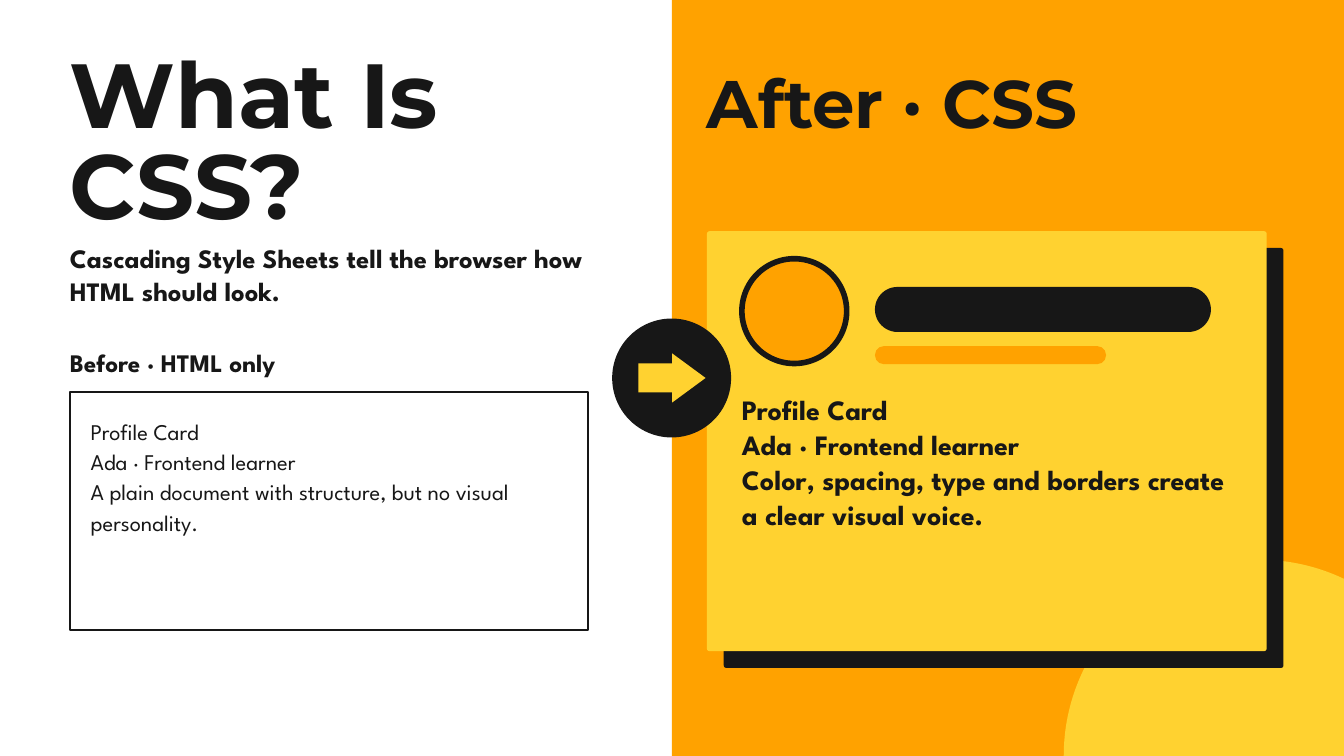
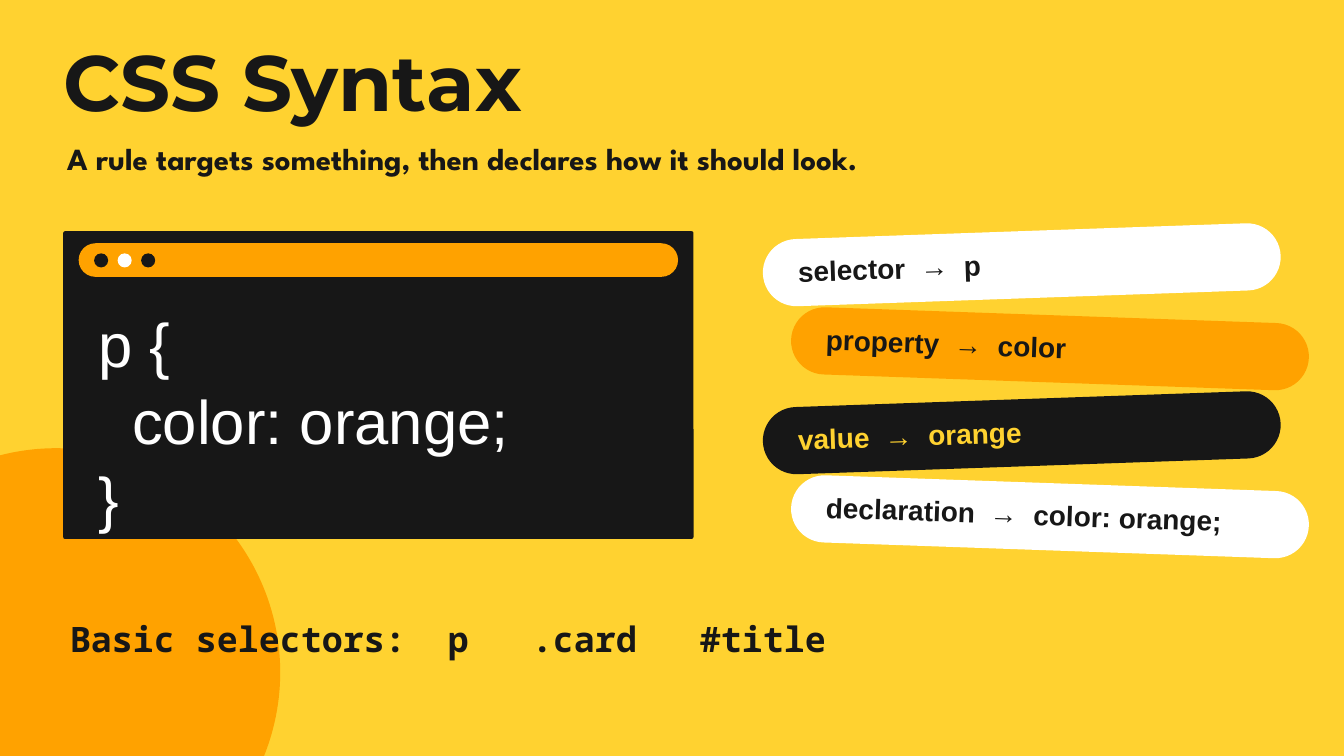
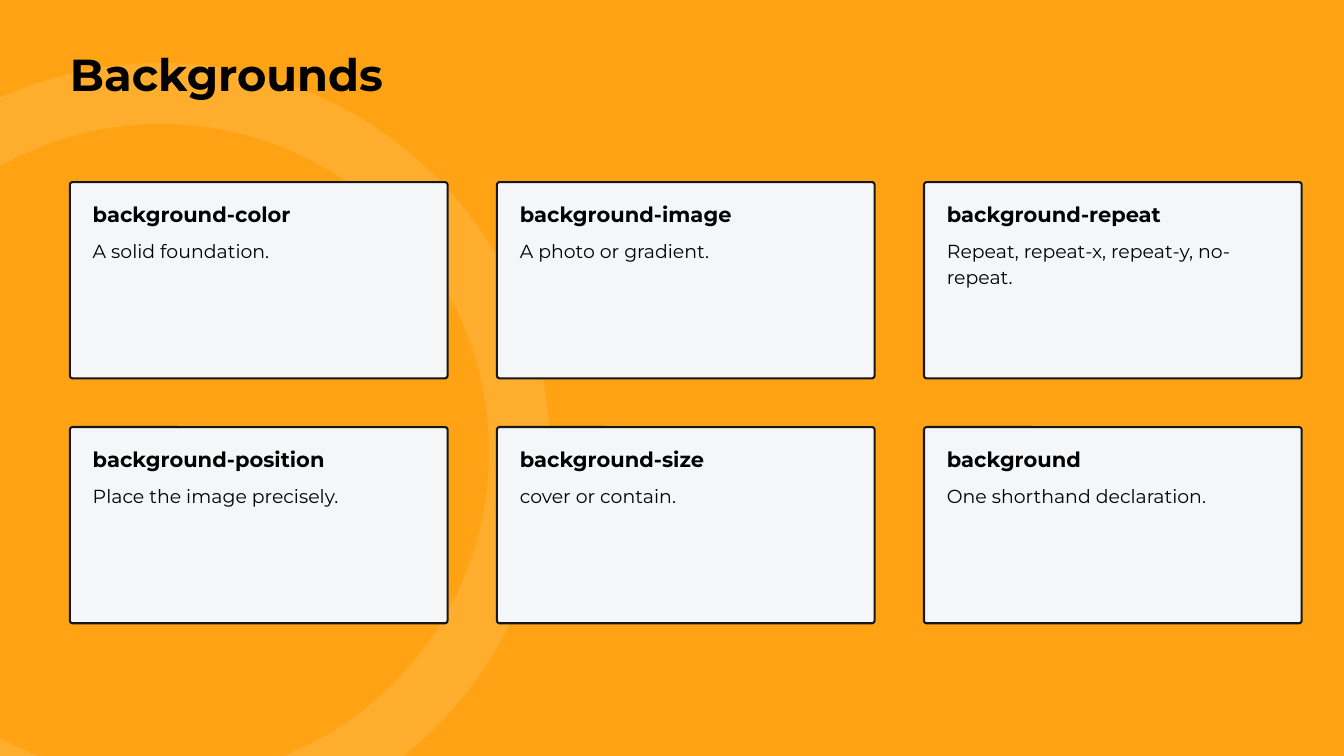
import pptx
import pptx.dml.color
import pptx.enum.shapes
import pptx.enum.text
import pptx.oxml
import pptx.oxml.ns
import pptx.util
from pptx.util import Inches, Pt

INK, WHITE, BLACK = "171717", "FFFFFF", "000000"
ORANGE, YELLOW, AMBER, PALE = "FFA200", "FFD230", "FFA314", "F5F6F7"
HEADING, BODY, SANS, MONO = "Montserrat", "League Spartan", "Arial", "Noto Sans Mono"
SHAPE = pptx.enum.shapes.MSO_SHAPE


def paint(target, color):
    """Give a fill a solid colour."""
    target.solid()
    target.fore_color.rgb = pptx.dml.color.RGBColor.from_string(color)


def add_page(deck, background):
    page = deck.slides.add_slide(deck.slide_layouts[5])
    paint(page.background.fill, background)
    return page


def place(shape, at):
    shape.left, shape.top, shape.width, shape.height = map(Inches, at)


def add_tabs(para, stops):
    properties = para._p.get_or_add_pPr()
    tabs = pptx.oxml.parse_xml(f"<a:tabLst {pptx.oxml.ns.nsdecls('a')}/>")
    for stop in stops:
        tab = tabs.makeelement(pptx.oxml.ns.qn("a:tab"), {"pos": str(Inches(stop)), "algn": "l"})
        tabs.append(tab)
    properties.append(tabs)


def write(frame, text, size, font=BODY, color=INK, bold=True, leading=1.25, tabs=()):
    """Fill a frame, one paragraph per line; leading is a multiple of the size."""
    frame.word_wrap = True
    frame.auto_size = pptx.enum.text.MSO_AUTO_SIZE.NONE
    frame.vertical_anchor = pptx.enum.text.MSO_ANCHOR.TOP
    frame.margin_left = frame.margin_right = frame.margin_top = frame.margin_bottom = 0
    for index, line in enumerate(text.split("\n")):
        para = frame.paragraphs[0] if index == 0 else frame.add_paragraph()
        if tabs:
            add_tabs(para, tabs)
        para.alignment = pptx.enum.text.PP_ALIGN.LEFT
        para.line_spacing = Pt(size * leading)
        span = para.add_run()
        span.text = line
        span.font.name, span.font.size, span.font.bold = font, Pt(size), bold
        paint(span.font.fill, color)


def add_title(page, at, text, size, leading=1.08):
    """Write the title and bring it in front of the decoration."""
    title = page.shapes.title
    place(title, at)
    write(title.text_frame, text, size, font=HEADING,
          color=BLACK if size < 60 else INK, leading=leading)
    title.element.getparent().append(title.element)


def add_text(page, at, text, size, rotation=0, **style):
    box = page.shapes.add_textbox(*map(Inches, at))
    box.rotation = rotation
    write(box.text_frame, text, size, **style)


def add_figure(page, kind, at, fill=None, line=None, width=2.25, radius=None, rotation=0):
    figure = page.shapes.add_shape(kind, *map(Inches, at))
    figure.shadow.inherit = False
    figure.rotation = rotation
    if radius is not None:
        figure.adjustments[0] = radius / min(at[2:])
    if fill:
        paint(figure.fill, fill)
    else:
        figure.fill.background()
    if line:
        paint(figure.line.fill, line)
        figure.line.width = Pt(width)
    else:
        figure.line.fill.background()
    return figure


def add_circle(page, left, top, size, fill=None, **style):
    return add_figure(page, SHAPE.OVAL, (left, top, size, size), fill, **style)


def add_panel(page, at, fill, radius=0.04, **style):
    return add_figure(page, SHAPE.ROUNDED_RECTANGLE, at, fill, radius=radius, **style)


def add_pill(page, at, fill, **style):
    return add_panel(page, at, fill, radius=at[3] / 2, **style)


def fade_line(figure, percent):
    """Make an outline partly transparent."""
    color = figure.line._ln.find(".//" + pptx.oxml.ns.qn("a:srgbClr"))
    alpha = color.makeelement(pptx.oxml.ns.qn("a:alpha"), {"val": str(percent * 1000)})
    color.append(alpha)


def build_what_is_css(deck):
    page = add_page(deck, WHITE)
    add_figure(page, SHAPE.RECTANGLE, (10, 0, 10, 11.25), ORANGE)
    add_circle(page, 15.83, 8.33, 5.83, YELLOW)
    add_title(page, (1.04, 0.83, 8.33, 2.77), "What Is\nCSS?", 97.5, leading=1)
    add_text(page, (1.04, 3.58, 8.02, 0.97),
             "Cascading Style Sheets tell the browser how HTML should look.", 28.5)

    add_text(page, (1.04, 5.15, 7.71, 0.46), "Before · HTML only", 27)
    add_figure(page, SHAPE.RECTANGLE, (1.04, 5.83, 7.71, 3.54), WHITE, line=INK)
    profile = "Profile Card\nAda · Frontend learner\n"
    add_text(page, (1.35, 6.17, 7.08, 1.77),
             profile + "A plain document with structure, but no visual personality.",
             24, bold=False, leading=1.35)

    add_text(page, (10.52, 1.03, 8.85, 1.1), "After · CSS", 72, font=HEADING, leading=1.08)
    for offset, color in ((0.25, INK), (0, YELLOW)):
        add_panel(page, (10.52 + offset, 3.44 + offset, 8.33, 6.25), color)
    add_circle(page, 11.04, 3.85, 1.56, ORANGE, line=INK, width=6)
    add_pill(page, (13.02, 4.27, 5, 0.67), INK)
    add_pill(page, (13.02, 5.15, 3.44, 0.27), ORANGE)
    add_text(page, (11.04, 5.82, 7.29, 2.07),
             profile + "Color, spacing, type and borders create a clear visual voice.", 30)

    add_circle(page, 9.11, 4.74, 1.77, INK)
    arrow = add_figure(page, SHAPE.RIGHT_ARROW, (9.5, 5.26, 1, 0.73), YELLOW)
    arrow.adjustments[0], arrow.adjustments[1] = 0.59, 0.68


def build_syntax(deck):
    page = add_page(deck, YELLOW)
    add_circle(page, -2.5, 6.67, 6.67, ORANGE)
    add_title(page, (0.94, 0.64, 13.54, 1.28), "CSS Syntax", 84)
    add_text(page, (1, 2.06, 15.62, 0.57),
             "A rule targets something, then declares how it should look.", 33)

    add_panel(page, (0.94, 3.44, 9.38, 4.58), INK, radius=0.03)
    add_pill(page, (1.17, 3.62, 8.92, 0.5), ORANGE)
    for index, color in enumerate((INK, WHITE, INK)):
        add_circle(page, 1.4 + 0.35 * index, 3.77, 0.21, color)
    add_text(page, (1.46, 4.51, 8.54, 3.46), "p {\n  color: orange;\n}", 66,
             font=SANS, color=WHITE, bold=False)

    terms = (
        ("selector", "p", WHITE, INK, 1.82),
        ("property", "color", ORANGE, INK, 1.91),
        ("value", "orange", INK, YELLOW, 1.29),
        ("declaration", "color: orange;", WHITE, INK, 2.44),
    )
    for index, (term, example, fill, color, stop) in enumerate(terms):
        left, top = 11.35 + 0.42 * (index % 2), 3.44 + 1.25 * index
        tilt = 2 if index % 2 else -2
        add_pill(page, (left, top, 7.71, 1), fill, rotation=tilt)
        add_text(page, (left + 0.52, top + 0.14, 6.88, 0.58), f"{term}\t→\t{example}", 30,
                 rotation=tilt, font=SANS, color=color, leading=1.4, tabs=(stop, stop + 0.65))

    size = 37.5
    character = size * 0.6 / 72
    add_text(page, (1.04, 9.16, 15.62, 0.63), "Basic selectors:\tp\t.card\t#title", size,
             font=MONO, tabs=[column * character for column in (18, 22, 30)])


def add_card(page, left, top, name, meaning):
    add_panel(page, (left, top, 5.62, 2.92), PALE, line=INK)
    style = {"font": HEADING, "color": BLACK}
    add_text(page, (left + 0.34, top + 0.27, 4.96, 0.39), name, 22.5, **style)
    add_text(page, (left + 0.34, top + 0.82, 4.96, 0.73), meaning, 20.25,
             bold=False, leading=1.35, **style)


def build_backgrounds(deck):
    page = add_page(deck, AMBER)
    ring = add_circle(page, -2.94, 1.39, 10.67, line=WHITE, width=65.25)
    fade_line(ring, 11)
    add_title(page, (1.04, 0.78, 17.92, 0.73), "Backgrounds", 48)
    cards = (
        ("background-color", "A solid foundation."),
        ("background-image", "A photo or gradient."),
        ("background-repeat", "Repeat, repeat-x, repeat-y, no-repeat."),
        ("background-position", "Place the image precisely."),
        ("background-size", "cover or contain."),
        ("background", "One shorthand declaration."),
    )
    for index, (name, meaning) in enumerate(cards):
        row, column = divmod(index, 3)
        add_card(page, 1.04 + 6.355 * column, 2.71 + 3.645 * row, name, meaning)


def main():
    deck = pptx.Presentation()
    deck.slide_width, deck.slide_height = Inches(20), Inches(11.25)
    build_what_is_css(deck)
    build_syntax(deck)
    build_backgrounds(deck)
    deck.save("out.pptx")


if __name__ == "__main__":
    main()
